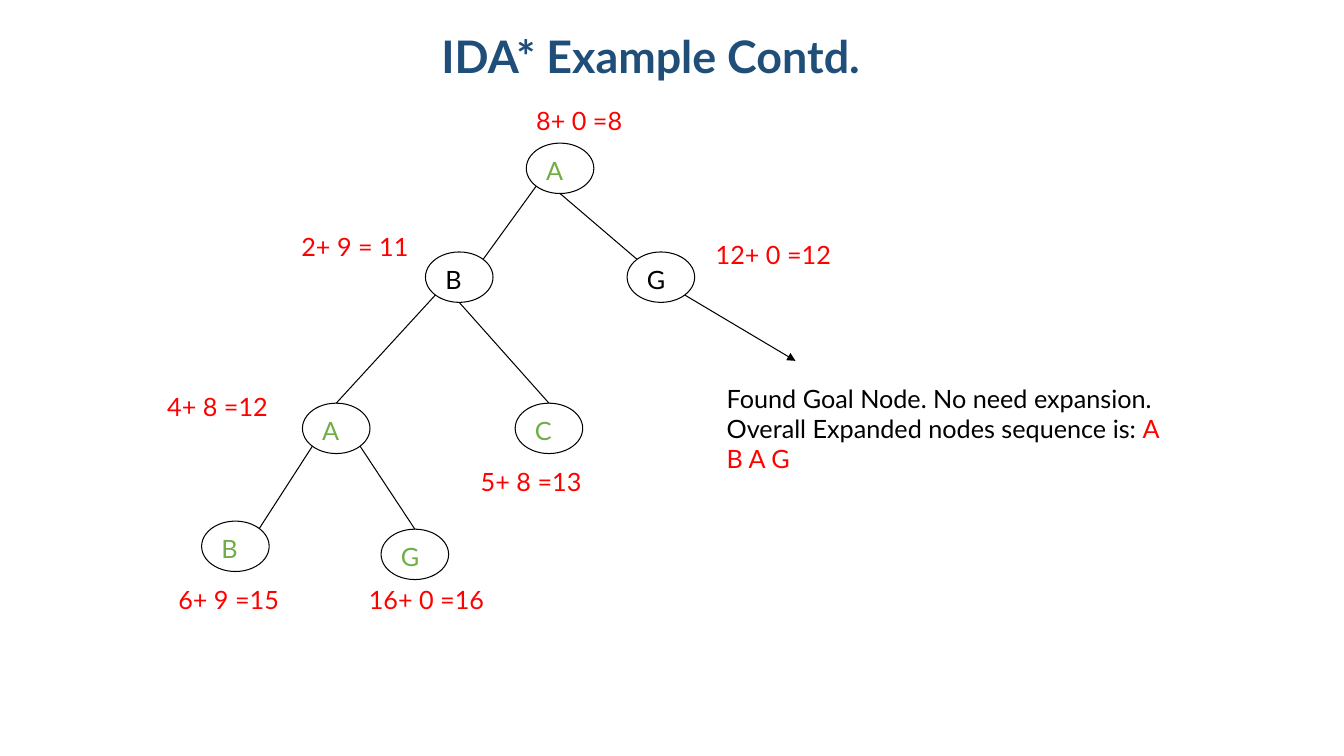
from math import cos, radians, sin

from lxml.etree import SubElement
from pptx import Presentation
from pptx.dml.color import RGBColor
from pptx.enum.shapes import MSO_CONNECTOR, MSO_SHAPE
from pptx.enum.text import MSO_ANCHOR, PP_ALIGN
from pptx.oxml.ns import qn
from pptx.util import Inches, Pt

FONT = "Lato"
NAVY = RGBColor(0x1F, 0x4E, 0x79)
BLACK = RGBColor(0, 0, 0)
WHITE = RGBColor(0xFF, 0xFF, 0xFF)
GREEN = RGBColor(0x70, 0xAD, 0x47)
RED = RGBColor(0xFF, 0, 0)

NODE_WIDTH, NODE_HEIGHT = 0.67, 0.5
TOP_RIGHT, BOTTOM_RIGHT, BOTTOM, BOTTOM_LEFT, TOP = -45, 45, 90, 135, 270

NODES = {
    "root": ("A", 5.22, 1.42, GREEN),
    "left": ("B", 4.22, 2.5, BLACK),
    "goal": ("G", 6.22, 2.5, BLACK),
    "left A": ("A", 3, 4, GREEN),
    "left C": ("C", 5.11, 4, GREEN),
    "leaf B": ("B", 2, 5.17, GREEN),
    "leaf G": ("G", 3.78, 5.25, GREEN),
}
EDGES = [
    ("root", BOTTOM_LEFT, "left", TOP_RIGHT),
    ("root", BOTTOM, "goal", 225),
    ("left", BOTTOM_LEFT, "left A", TOP),
    ("left", BOTTOM, "left C", TOP),
    ("left A", BOTTOM_LEFT, "leaf B", TOP_RIGHT),
    ("left A", BOTTOM_RIGHT, "leaf G", TOP),
]
COSTS = [
    ("8+ 0 =8", 5.22, 1, 1.44),
    ("2+ 9 = 11", 2.89, 2.25, 1.78),
    ("12+ 0 =12", 7, 2.33, 2),
    ("4+ 8 =12", 1.56, 3.83, 2),
    ("5+ 8 =13", 4.67, 4.58, 2),
    ("6+ 9 =15", 1.67, 5.75, 2),
    ("16+ 0 =16", 3.56, 5.75, 2),
]


def style_paragraph(paragraph, color, size=18, bold=False):
    """Set the font of a left-aligned paragraph."""
    paragraph.alignment = PP_ALIGN.LEFT
    paragraph.font.name = FONT
    paragraph.font.size = Pt(size)
    paragraph.font.bold = bold
    paragraph.font.color.rgb = color


def add_label(slide, text, left, top, width, height=0.4, color=RED, size=18, bold=False):
    """Add a wrapping text box and return its text frame."""
    label = slide.shapes.add_textbox(Inches(left), Inches(top), Inches(width), Inches(height))
    frame = label.text_frame
    frame.word_wrap = True
    frame.text = text
    style_paragraph(frame.paragraphs[0], color, size, bold)
    return frame


def add_node(slide, letter, left, top, color):
    """Add a lettered ellipse of the search tree."""
    node = slide.shapes.add_shape(
        MSO_SHAPE.OVAL, Inches(left), Inches(top), Inches(NODE_WIDTH), Inches(NODE_HEIGHT))
    node.shadow.inherit = False
    node.fill.solid()
    node.fill.fore_color.rgb = WHITE
    node.line.color.rgb = BLACK
    node.line.width = Pt(0.75)
    node.text_frame.vertical_anchor = MSO_ANCHOR.TOP
    node.text_frame.text = letter
    style_paragraph(node.text_frame.paragraphs[0], color)


def rim_point(name, angle):
    """Return the point of a node's rim at a clockwise angle from the right."""
    _, left, top, _ = NODES[name]
    return (left + NODE_WIDTH / 2 * (1 + cos(radians(angle))),
            top + NODE_HEIGHT / 2 * (1 + sin(radians(angle))))


def add_edge(slide, start, end, arrow=False):
    """Add a thin black line, optionally with an arrowhead at its end."""
    edge = slide.shapes.add_connector(
        MSO_CONNECTOR.STRAIGHT, *(Inches(value) for value in (*start, *end)))
    edge.line.color.rgb = BLACK
    edge.line.width = Pt(0.75)
    if arrow:
        SubElement(edge.line._get_or_add_ln(), qn("a:tailEnd"), type="triangle")
    SubElement(edge._element.spPr, qn("a:effectLst"))


def main():
    """Build the search tree slide and save it."""
    presentation = Presentation()
    presentation.slide_width = Inches(13.33)
    presentation.slide_height = Inches(7.5)
    slide = presentation.slides.add_slide(presentation.slide_layouts[6])

    title = add_label(slide, "IDA* Example Contd.", 4.28, 0.17, 4.67, 0.83, NAVY, 32, True)
    title.vertical_anchor = MSO_ANCHOR.MIDDLE
    title.paragraphs[0].line_spacing = 0.9

    for node in NODES.values():
        add_node(slide, *node)
    for parent, parent_angle, child, child_angle in EDGES:
        add_edge(slide, rim_point(parent, parent_angle), rim_point(child, child_angle))
    for cost in COSTS:
        add_label(slide, *cost)

    add_edge(slide, rim_point("goal", BOTTOM_RIGHT), (7.89, 3.58), arrow=True)
    conclusion = add_label(
        slide, "Found Goal Node. No need expansion. Overall Expanded nodes sequence is: ",
        7.11, 3.75, 4.56, 1.01, BLACK)
    sequence = conclusion.paragraphs[0].add_run()
    sequence.text = "A B A G"
    sequence.font.color.rgb = RED

    presentation.save("out.pptx")


if __name__ == "__main__":
    main()
